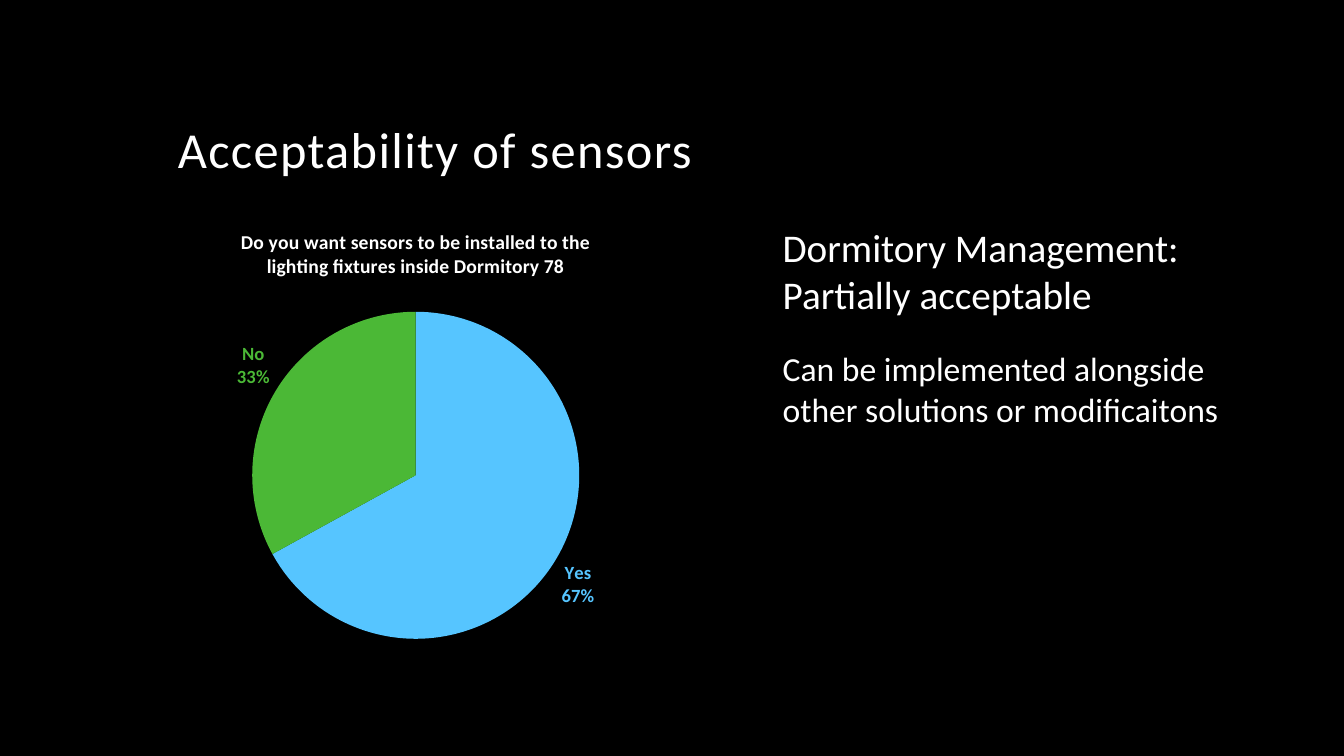
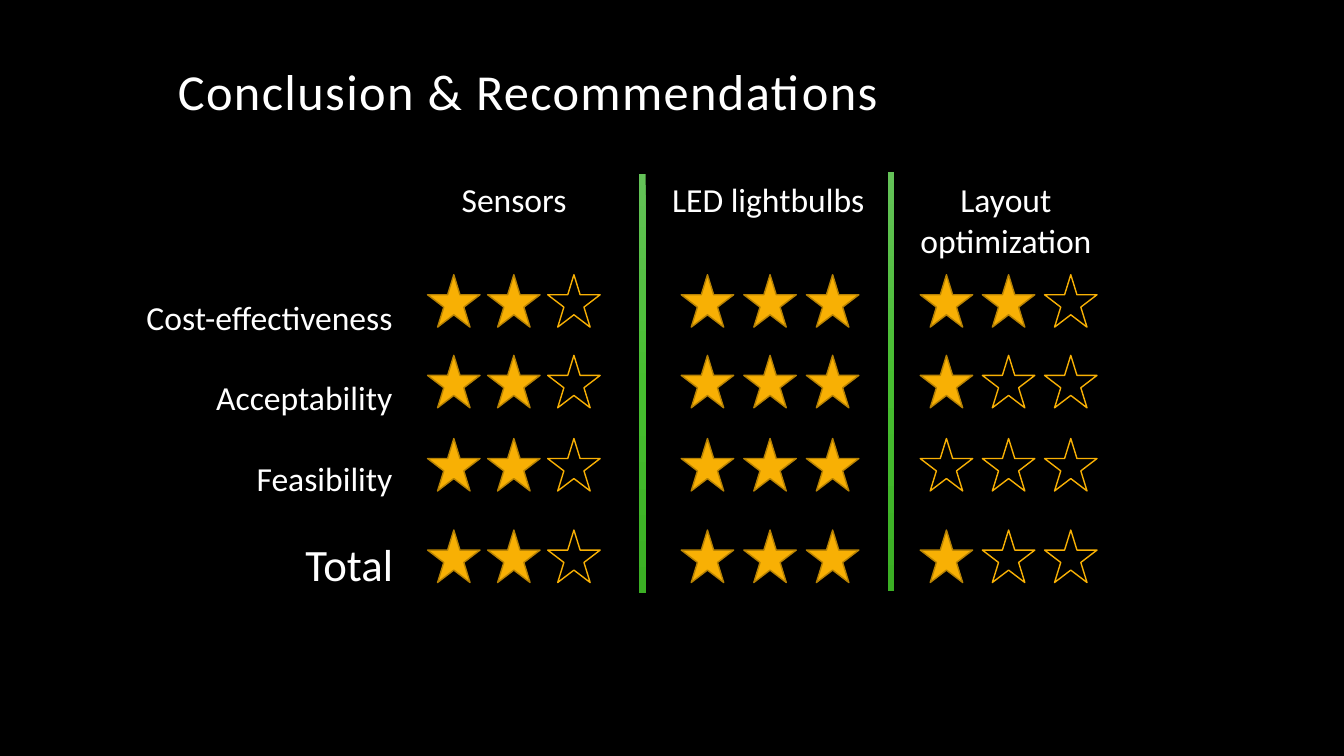
import pptx
import pptx.chart.data
import pptx.dml.color
import pptx.enum.chart
import pptx.enum.dml
import pptx.enum.shapes
import pptx.enum.text
import pptx.oxml
import pptx.oxml.ns
import pptx.util
import copy

# Shared look
COLORS = {
    "back": "000000", "text": "FFFFFF",
    "yes": "56C5FF", "no": "4BB836",
    "star": "F8B004", "star_edge": "B78203",
    "bar_top": "64C258", "bar_mid": "47BE30", "bar_end": "3BAF24",
}
FONT = "Calibri"
CELL = 76200          # one cell of a 160 x 90 grid
COLS, ROWS = 160, 90
MARGIN = 20           # left edge of titles and chart
LEFT, CENTER, RIGHT = (pptx.enum.text.PP_ALIGN.LEFT, pptx.enum.text.PP_ALIGN.CENTER,
                       pptx.enum.text.PP_ALIGN.RIGHT)
qn = pptx.oxml.ns.qn


def grid(*cells):
    return [pptx.util.Emu(round(n * CELL)) for n in cells]


def rgb(name):
    return pptx.dml.color.RGBColor.from_string(COLORS[name])


def set_font(font, size, color="text", bold=False):
    font.name, font.size, font.bold = FONT, pptx.util.Pt(size), bold
    font.color.rgb = rgb(color)


def add_slide(prs, title, title_row):
    s = prs.slides.add_slide(prs.slide_layouts[6])
    s.background.fill.solid()
    s.background.fill.fore_color.rgb = rgb("back")
    tf = add_text(s, (MARGIN, title_row, 120, 18), [(title, 36)], line_spacing=0.9)
    tf.vertical_anchor = pptx.enum.text.MSO_ANCHOR.BOTTOM
    # Letter spacing of one point
    tf.paragraphs[0].runs[0].font._element.set("spc", "100")
    return s


def add_text(s, box, lines, align=LEFT, line_spacing=None, gap=0):
    tf = s.shapes.add_textbox(*grid(*box)).text_frame
    tf.word_wrap = True
    for i, (text, size) in enumerate(lines):
        p = tf.add_paragraph() if i else tf.paragraphs[0]
        p.alignment = align
        if line_spacing:
            p.line_spacing = line_spacing
        if i and gap:
            p.space_before = pptx.util.Pt(gap)
        r = p.add_run()
        r.text = text
        set_font(r.font, size)
    return tf


def add_pie(s, box, title, slices):
    data = pptx.chart.data.ChartData()
    data.categories = [name for name, _, _ in slices]
    data.add_series("Series 1", [value for _, value, _ in slices])
    chart = s.shapes.add_chart(pptx.enum.chart.XL_CHART_TYPE.PIE, *grid(*box), data).chart
    chart.has_legend = False
    set_font(chart.font, 10)
    chart.has_title = True
    r = chart.chart_title.text_frame.paragraphs[0].add_run()
    r.text = title
    set_font(r.font, 14, bold=True)
    chart.chart_title.include_in_layout = False

    plot = chart.plots[0]
    plot.vary_by_categories = True
    for i, (_, _, color) in enumerate(slices):
        point = plot.series[0].points[i]
        point.format.fill.solid()
        point.format.fill.fore_color.rgb = rgb(color)
        set_font(point.data_label.font, 13.3, color, bold=True)
        point.data_label.position = pptx.enum.chart.XL_LABEL_POSITION.OUTSIDE_END

    # Labels show the category above the percentage
    for label in chart.element.iter(qn("c:dLbl")):
        for tag, on in (("showVal", "0"), ("showCatName", "1"), ("showPercent", "1")):
            label.find(qn("c:" + tag)).set("val", on)
        separator = label.makeelement(qn("c:separator"), {})
        separator.text = "\n"
        label.append(separator)

    # Fixed place of the pie, as shares of the chart
    area = chart.element.find(".//" + qn("c:plotArea"))
    for old in area.findall(qn("c:layout")):
        area.remove(old)
    places = "".join(f'<c:{tag} val="{value}"/>' for tag, value in (
        ("layoutTarget", "inner"), ("xMode", "edge"), ("yMode", "edge"),
        ("x", 0.17), ("y", 0.22), ("w", 0.66), ("h", 0.73)))
    area.insert(0, pptx.oxml.parse_xml(
        f'<c:layout {pptx.oxml.ns.nsdecls("c")}><c:manualLayout>{places}'
        '</c:manualLayout></c:layout>'))


def add_shape(s, kind, box):
    sp = s.shapes.add_shape(kind, *grid(*box))
    sp.shadow.inherit = False
    return sp


def add_star(s, col, row, filled):
    sp = add_shape(s, pptx.enum.shapes.MSO_SHAPE.STAR_5_POINT, (col, row, 6.25, 6.25))
    if filled:
        sp.fill.solid()
        sp.fill.fore_color.rgb = rgb("star")
    else:
        sp.fill.background()
    sp.line.color.rgb = rgb("star_edge" if filled else "star")
    sp.line.width = pptx.util.Pt(1)


def add_bar(s, col, row):
    sp = add_shape(s, pptx.enum.shapes.MSO_SHAPE.RECTANGLE, (col, row, 0.75, 49.9))
    sp.line.fill.background()
    sp.fill.gradient()
    sp.fill.gradient_angle = 270
    # The default gradient has two stops; a third goes between them
    stops = sp.element.find(".//" + qn("a:gsLst"))
    stops.insert(1, copy.deepcopy(stops[0]))
    for stop, place, name in zip(sp.fill.gradient_stops, (0, 0.5, 1),
                                 ("bar_top", "bar_mid", "bar_end")):
        stop.position = place
        stop.color.rgb = rgb(name)


def acceptability_slide(prs):
    s = add_slide(prs, "Acceptability of sensors", 4)
    add_pie(s, (MARGIN, 25, 59, 54),
            "Do you want sensors to be installed to the lighting fixtures inside Dormitory 78",
            [("Yes", 67, "yes"), ("No", 33, "no")])
    add_text(s, (92, 26, 61, 25.8),
             [("Dormitory Management: Partially acceptable", 28),
              ("Can be implemented alongside other solutions or modificaitons", 24)], gap=22)


def conclusion_slide(prs):
    s = add_slide(prs, "Conclusion & Recommendations", -3)

    # Row labels
    criteria = ["Cost-effectiveness", "Acceptability", "Feasibility"]
    add_text(s, (14.5, 29.9, 33.4, 30.2), [(name, 24) for name in criteria],
             align=RIGHT, line_spacing=2)
    add_text(s, (19.7, 63.35, 28.3, 7.7), [("Total", 32)], align=RIGHT)

    # Options: heading, heading column, first star column, star step, stars per row
    star_rows = [32.7, 42.3, 52.2, 63.1]
    options = [
        ("Sensors", 47.05, 50.9, 7.15, [2, 2, 2, 2]),
        ("LED lightbulbs", 77.3, 81.1, 7.45, [3, 3, 3, 3]),
        ("Layout optimization", 105.6, 109.55, 7.4, [2, 1, 0, 1]),
    ]
    for name, heading_col, star_col, step, ratings in options:
        add_text(s, (heading_col, 20.75, 28.3, 6), [(name, 24)], align=CENTER)
        for row, rating in zip(star_rows, ratings):
            for i in range(3):
                add_star(s, star_col + i * step, row, i < rating)

    # Dividers
    add_bar(s, 76.1, 20.75)
    add_bar(s, 105.7, 20.5)


def main():
    prs = pptx.Presentation()
    prs.slide_width, prs.slide_height = grid(COLS, ROWS)
    acceptability_slide(prs)
    conclusion_slide(prs)
    prs.save("out.pptx")


if __name__ == "__main__":
    main()
